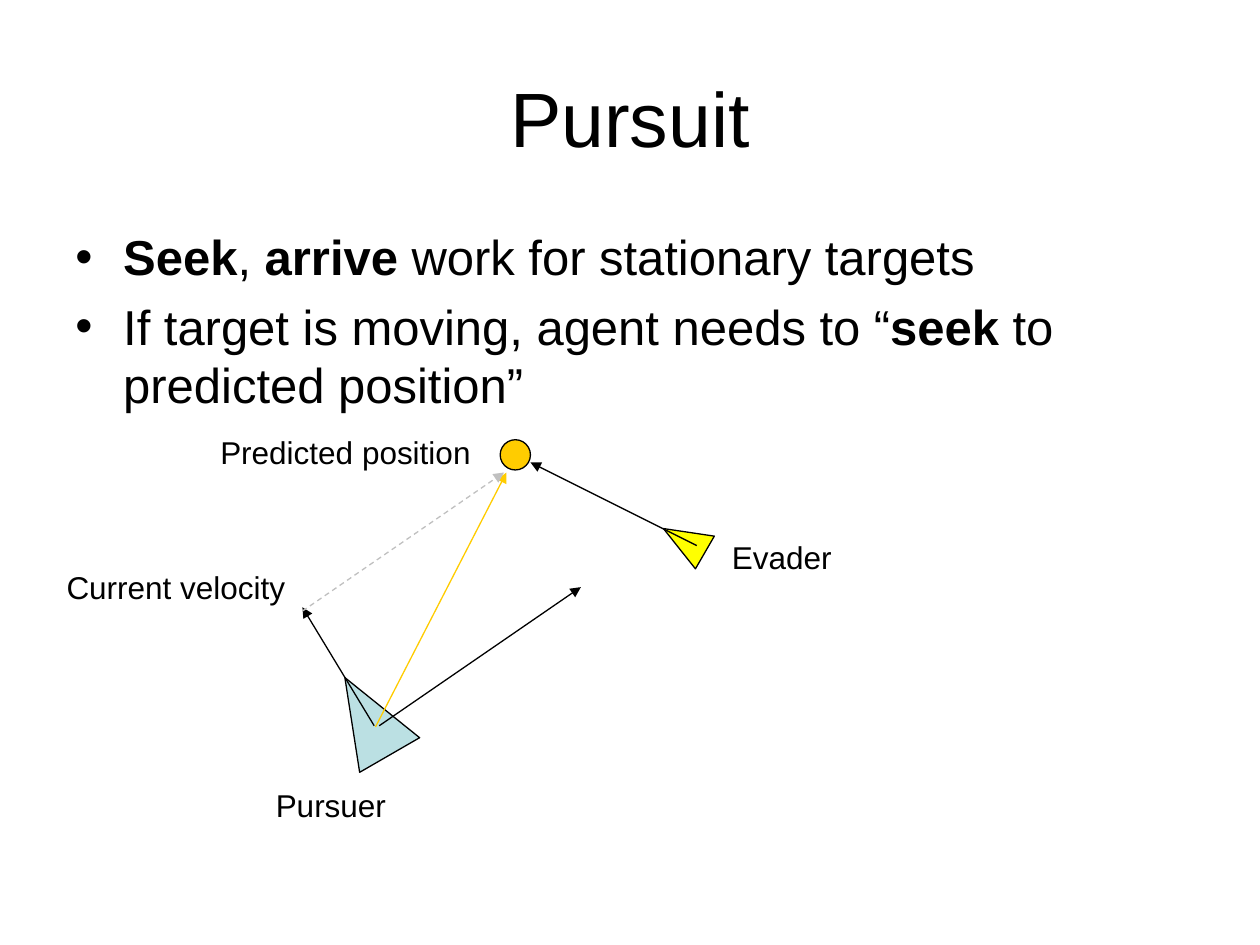
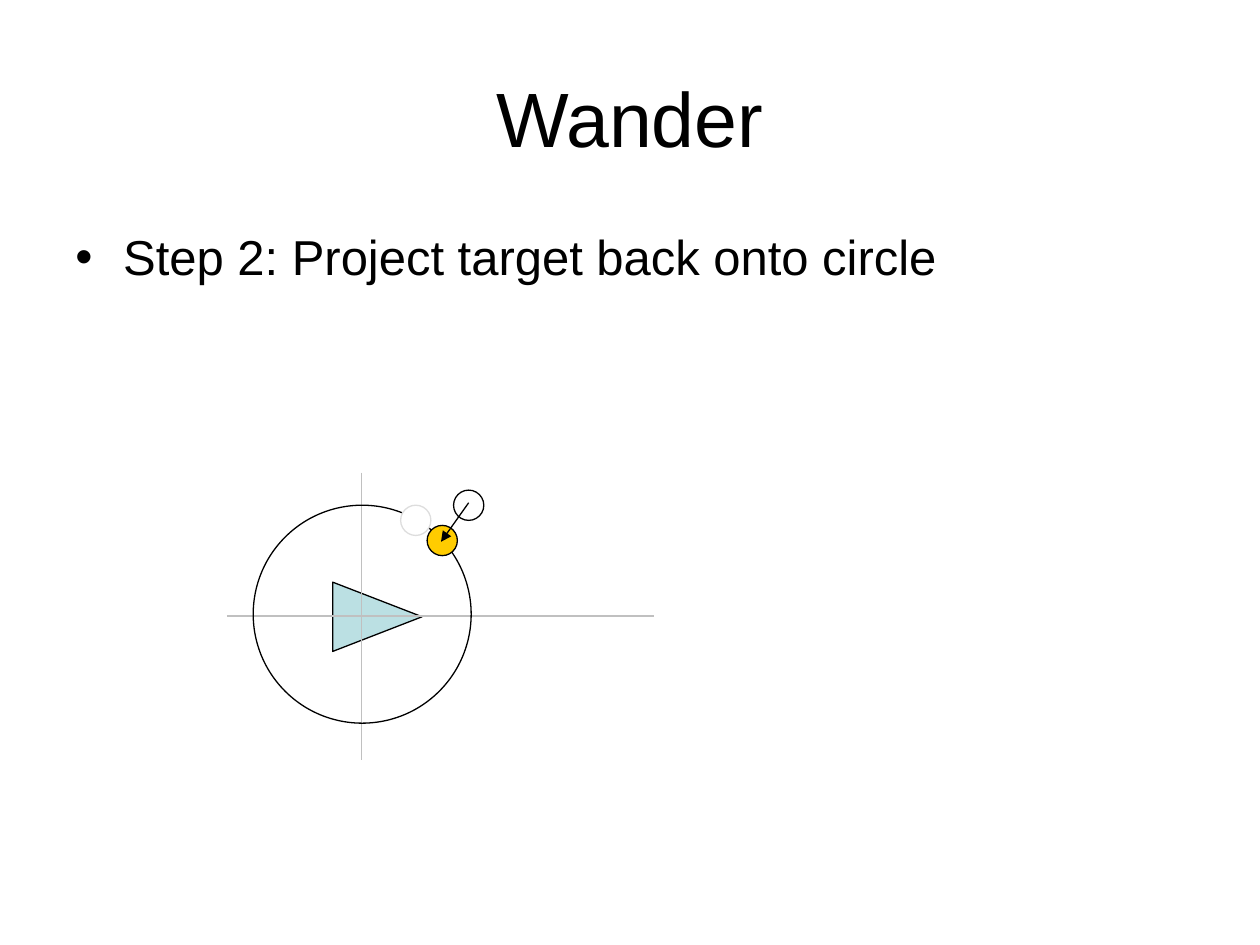
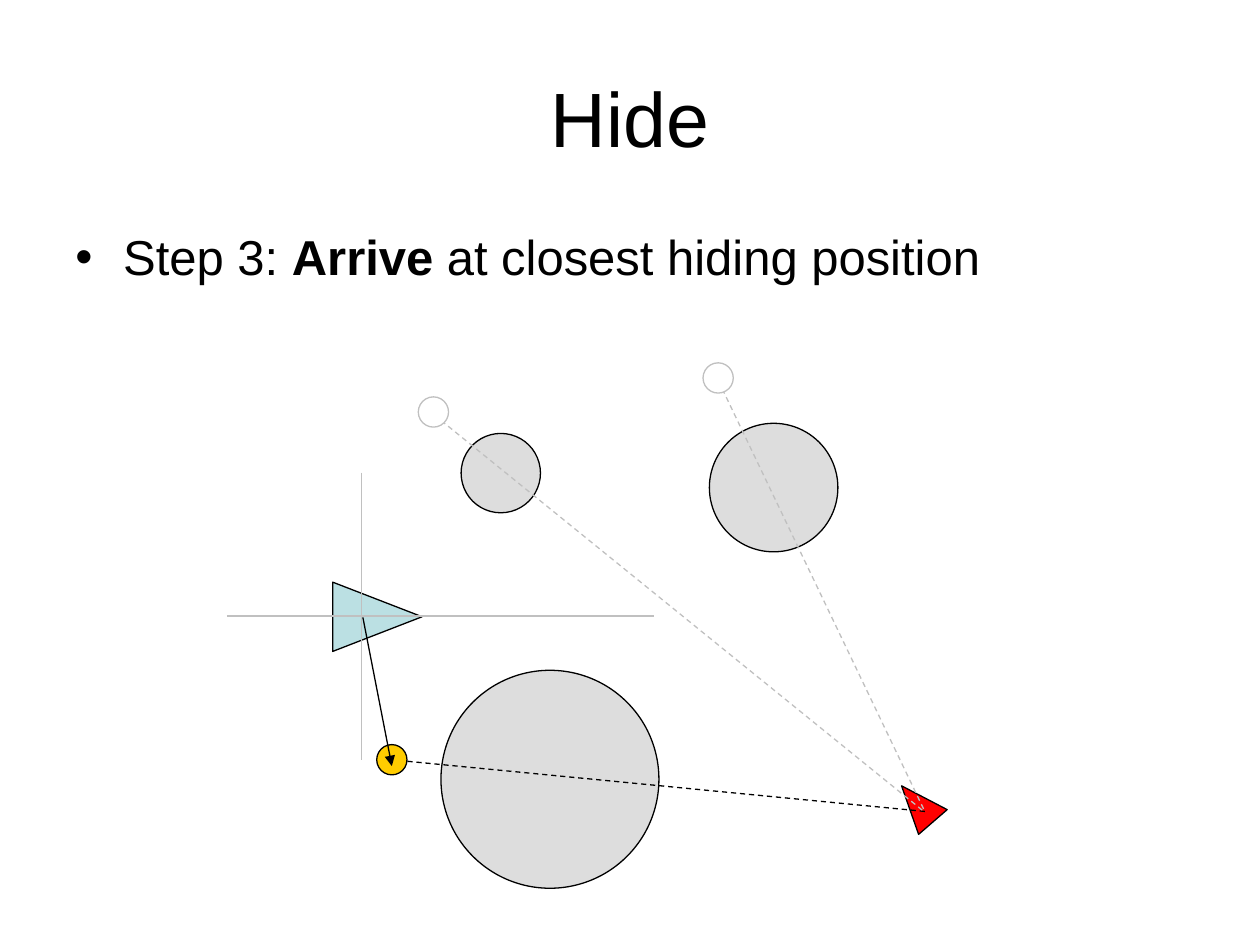
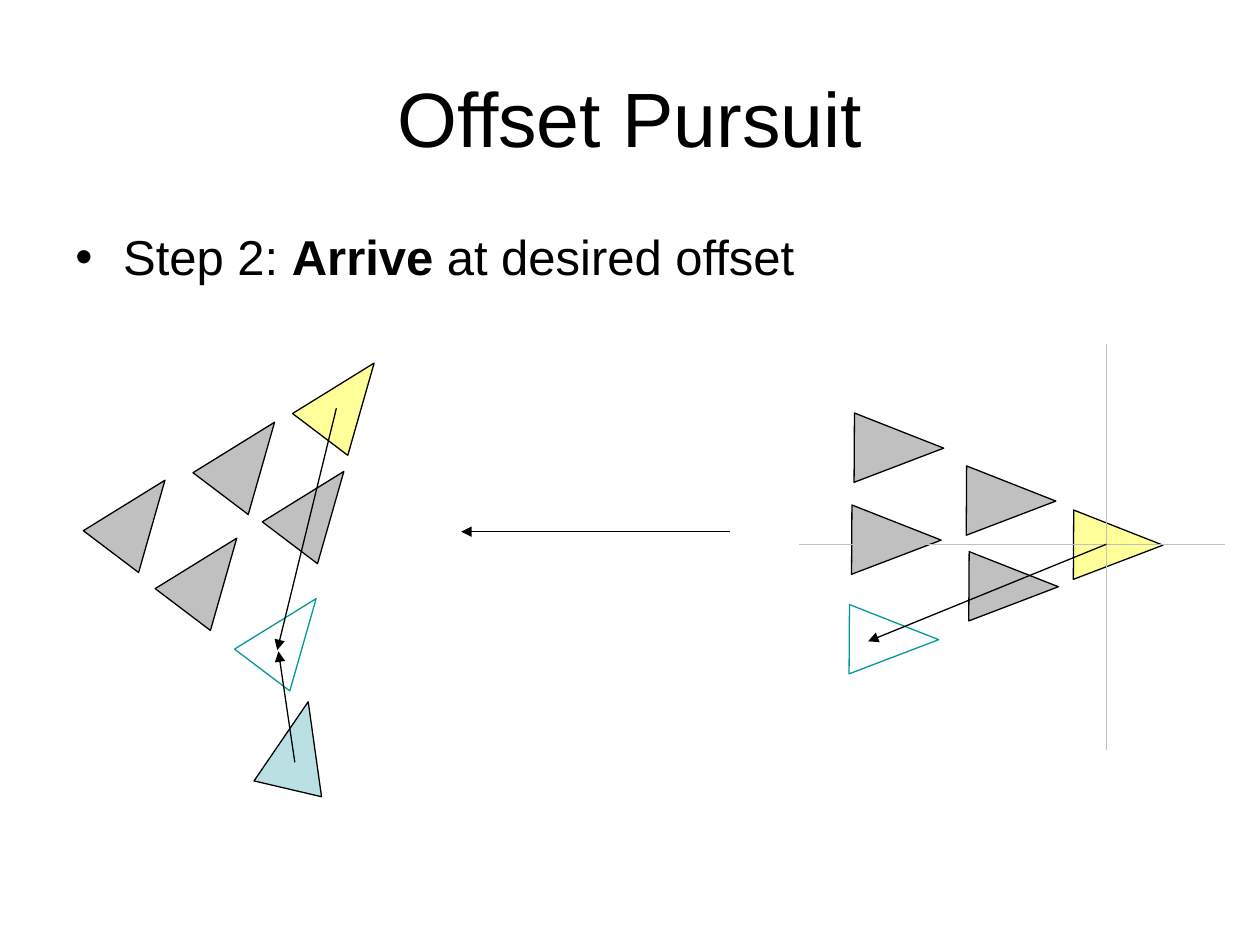
from dataclasses import dataclass, replace
from typing import Any

from lxml.etree import SubElement as Sub
from pptx import Presentation
from pptx.dml.color import RGBColor as Rgb
from pptx.enum.dml import MSO_LINE_DASH_STYLE as Dash
from pptx.enum.shapes import MSO_CONNECTOR as Link, MSO_SHAPE as Form
from pptx.enum.text import MSO_ANCHOR as Anchor, PP_ALIGN as Align
from pptx.oxml.ns import qn
from pptx.util import Inches, Pt

INK, PAPER, MIST, STONE, GOLD = "000000", "FFFFFF", "C0C0C0", "DDDDDD", "FFCC00"
AGENT, TEAL, LEAD, PREY, FOE = "BBE0E3", "009999", "FFFF99", "FFFF00", "FF0000"
LARGE, SMALL = (0.55, 0.71), (0.3, 0.38)
SPOT = 0.24
TITLE = {"size": Pt(44), "name": "Arial"}
BODY = {"size": Pt(28), "name": "Arial"}
LABEL = {"size": Pt(18), "name": "Arial"}


@dataclass
class Box:
    """A region of a slide, in inches, with the shapes it draws into."""
    shapes: Any
    x: float
    y: float
    w: float = 0
    h: float = 0

    def at(self, x, y):
        """Turn a point of the region into a point of the slide."""
        return Inches(self.x + x), Inches(self.y + y)


def tint(code):
    """Turn a hex string into a colour."""
    return Rgb.from_string(code)


def style(item, form):
    """Set each attribute of a format dict."""
    for key, value in form.items():
        setattr(item, key, value)


def write(box, lines, font, **form):
    """Write paragraphs into the box; asterisks enclose bold words."""
    frame = box.shapes.add_textbox(*box.at(0, 0), Inches(box.w), Inches(box.h)).text_frame
    style(frame, {"word_wrap": True, **form})
    paras = [frame.paragraphs[0]] + [frame.add_paragraph() for _ in lines[1:]]
    for para, line in zip(paras, lines):
        for i, part in enumerate(line.split("*")):
            if part:
                run = para.add_run()
                run.text = part
                style(run.font, {**font, "bold": i % 2 == 1})
                run.font.color.rgb = tint(INK)
    return paras


def title(box, text):
    """Centre the slide title in its box."""
    para, = write(box, [text], TITLE, vertical_anchor=Anchor.MIDDLE)
    para.alignment = Align.CENTER


def points(box, lines):
    """List the bullet points with a hanging indent."""
    for i, para in enumerate(write(box, lines, BODY)):
        props = para._p.get_or_add_pPr()
        props.set("marL", str(Inches(0.38)))
        props.set("indent", str(-Inches(0.38)))
        Sub(props, qn("a:buFont"), typeface="Arial")
        Sub(props, qn("a:buChar"), char="•")
        if i:
            para.space_before = Pt(6)


def label(box, x, y, w, text):
    """Put a small caption in the region."""
    write(Box(box.shapes, box.x + x, box.y + y, w, 0.4), [text], LABEL)


def draw(box, kind, x, y, size, fill, edge, turn=0):
    """Draw an outlined preset shape."""
    shape = box.shapes.add_shape(kind, *box.at(x, y), *map(Inches, size))
    shape.shadow.inherit = False
    shape.rotation = turn
    if fill:
        shape.fill.solid()
        shape.fill.fore_color.rgb = tint(fill)
    else:
        shape.fill.background()
    shape.line.color.rgb = tint(edge)
    shape.line.width = Pt(0.75)


def ship(box, x, y, turn, fill=AGENT, edge=INK, size=LARGE):
    """Draw a triangular vehicle."""
    draw(box, Form.ISOSCELES_TRIANGLE, x, y, size, fill, edge, turn)


def disc(box, x, y, wide=SPOT, fill=GOLD, edge=INK):
    """Draw a circle."""
    draw(box, Form.OVAL, x, y, (wide, wide), fill, edge)


def line(box, start, end, hue=INK, dash=False, tip=False):
    """Draw a straight line, with an optional arrowhead at its end."""
    wire = box.shapes.add_connector(Link.STRAIGHT, *box.at(*start), *box.at(*end))
    wire.line.color.rgb = tint(hue)
    wire.line.width = Pt(0.75)
    if dash:
        wire.line.dash_style = Dash.DASH
    props = wire._element.spPr
    if tip:
        Sub(props.find(qn("a:ln")), qn("a:tailEnd"), type="triangle")
    Sub(props, qn("a:effectLst"))


def arrow(box, start, end, hue=INK, dash=False):
    """Draw a line that ends in an arrowhead."""
    line(box, start, end, hue, dash, tip=True)


def cross(box, x, y):
    """Draw both axes across the box, meeting at a point."""
    line(box, (x, 0), (x, box.h), MIST)
    line(box, (0, y), (box.w, y), MIST)


def local(box):
    """Draw the agent at the centre of its own axes."""
    ship(box, 0.92, 0.79, 90)
    cross(box, 1.07, 1.14)


def chase(box):
    """Show the pursuer steering to the predicted position."""
    ship(box, 2.24, 2.03, 330)
    disc(box, 3.57, 0.19)
    arrow(box, (2.57, 2.46), (2, 1.52))
    ship(box, 4.88, 0.8, 300, PREY, size=SMALL)
    arrow(box, (5.13, 1.03), (3.81, 0.37))
    for x, y, w, text in (
        (0.03, 1.16, 1.97, "Current velocity"),
        (5.31, 0.92, 1.18, "Evader"),
        (1.69, 2.89, 1.18, "Pursuer"),
        (1.25, 0.09, 2.36, "Predicted position"),
    ):
        label(box, x, y, w, text)
    arrow(box, (2.58, 2.47), (3.62, 0.45), GOLD)
    arrow(box, (2, 1.55), (3.6, 0.45), MIST, dash=True)
    arrow(box, (2.61, 2.46), (4.21, 1.36))


def wander(box):
    """Show the target projected back onto the circle."""
    local(box)
    disc(box, 0.21, 0.26, 1.73, None)
    disc(box, 1.38, 0.26, fill=PAPER, edge=STONE)
    disc(box, 1.8, 0.14, fill=PAPER)
    disc(box, 1.59, 0.42)
    arrow(box, (1.92, 0.24), (1.7, 0.55))


def hide(box):
    """Show the hiding spots behind the obstacles."""
    local(replace(box, y=box.y + 0.9, w=3.39, h=2.28))
    ship(box, 5.33, 3.34, 319.1, FOE, size=SMALL)
    for x, y, wide in ((1.7, 2.47, 1.73), (1.86, 0.59, 0.63), (3.83, 0.51, 1.02)):
        disc(box, x, y, wide, STONE)
    line(box, (5.54, 3.59), (1.31, 3.18), dash=True)
    line(box, (5.52, 3.58), (1.63, 0.43), MIST, dash=True)
    line(box, (5.53, 3.57), (3.91, 0.19), MIST, dash=True)
    for x, y in ((1.52, 0.3), (3.78, 0.03)):
        disc(box, x, y, fill=PAPER, edge=MIST)
    disc(box, 1.19, 3.06)
    arrow(box, (1.08, 2.05), (1.31, 3.23))


def fleet(box, turn, gap, mates, lead):
    """Draw a formation: the open place, the mates and the leader."""
    ship(box, *gap, turn, PAPER, TEAL)
    for spot in mates:
        ship(box, *spot, turn, MIST)
    ship(box, *lead, turn, LEAD)


def world(box):
    """Show the agent arriving at its place in the moving formation."""
    mates = (0.59, 1.4), (0.02, 0.94), (0.89, 0.48), (1.44, 0.87)
    fleet(box, 37.1, (1.22, 1.88), mates, (1.68, 0.01))
    arrow(box, (1.87, 0.44), (1.4, 2.36))
    ship(box, 1.29, 2.76, 13.2)
    arrow(box, (1.54, 3.25), (1.41, 2.37))


def frame(box):
    """Show the formation in the axes of the leader."""
    mates = (0.5, 1.2), (0.52, 0.47), (1.41, 0.89), (1.43, 1.57)
    group = box.shapes.add_group_shape()
    fleet(replace(box, shapes=group.shapes), 90.3, (0.48, 1.99), mates, (2.26, 1.24))
    cross(box, 2.44, 1.59)
    arrow(box, (2.44, 1.59), (0.55, 2.36))


def offset(box):
    """Lead from the leader's axes to the world formation."""
    world(replace(box, w=2.3, h=3.6))
    arrow(box, (4.99, 1.42), (2.86, 1.42))
    frame(Box(box.shapes, box.x + 5.54, box.y - 0.07, 3.38, 3.22))


SLIDES = (
    ("Pursuit", ("*Seek*, *arrive* work for stationary targets",
                 "If target is moving, agent needs to “*seek* to predicted position”"),
     chase, (0.4, 3.3, 6.5, 3.3)),
    ("Wander", ("Step 2: Project target back onto circle",), wander, (1.8, 3.75, 3.39, 2.28)),
    ("Hide", ("Step 3: *Arrive* at closest hiding position",), hide, (1.8, 2.85, 5.7, 4.2)),
    ("Offset Pursuit", ("Step 2: *Arrive* at desired offset",), offset, (0.8, 2.8, 8.92, 3.6)),
)


def main():
    """Build the slides and save them."""
    deck = Presentation()
    style(deck, {"slide_width": Inches(10), "slide_height": Inches(7.5)})
    for head, lines, scene, area in SLIDES:
        shapes = deck.slides.add_slide(deck.slide_layouts[6]).shapes
        title(Box(shapes, 0.5, 0.3, 9, 1.25), head)
        points(Box(shapes, 0.5, 1.75, 9, 4.95), lines)
        scene(Box(shapes, *area))
    deck.save("out.pptx")


if __name__ == "__main__":
    main()
